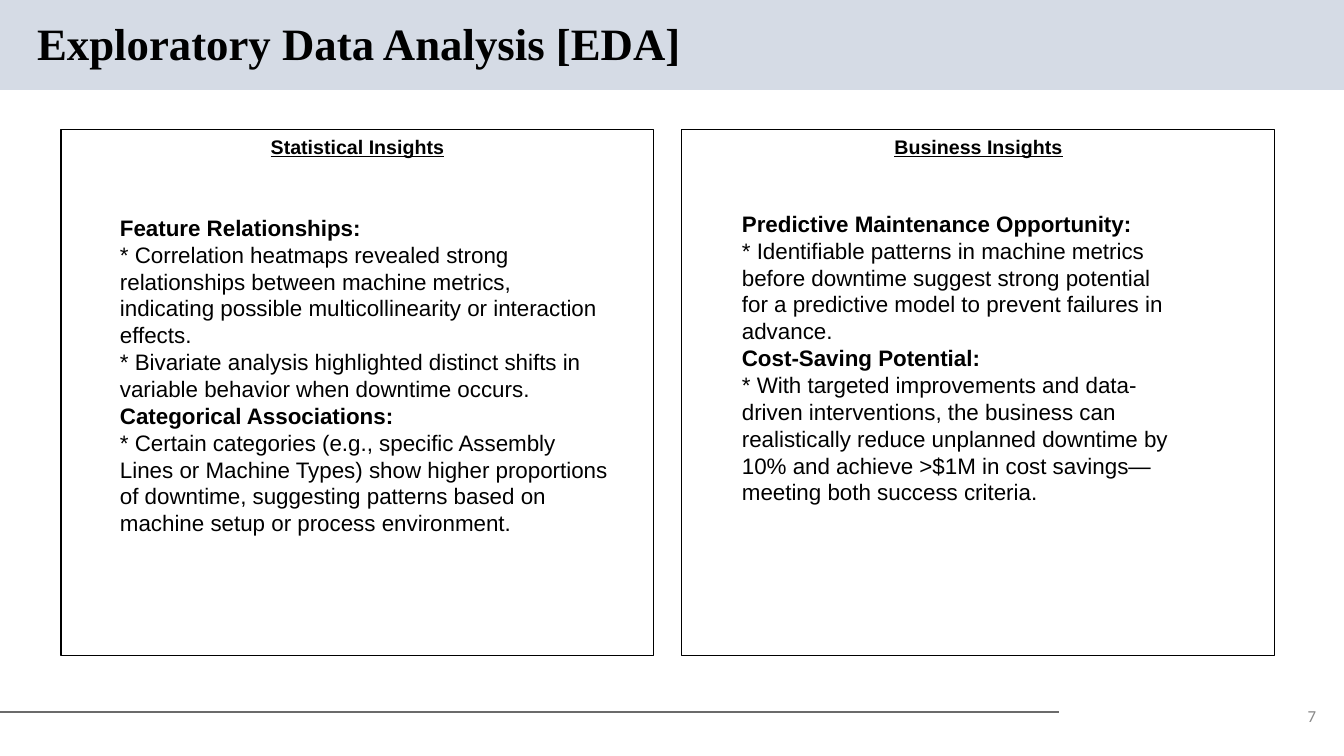
import pptx
import pptx.util
import pptx.dml.color
import pptx.enum.shapes
import pptx.enum.text
import lxml.etree

UNIT = 914400 / 100.8
HUES = {"ink": "000000", "band": "D5DBE5", "rule": "6B6B6B", "page": "888888"}
ALIGN = pptx.enum.text.PP_ALIGN
ANCHOR = pptx.enum.text.MSO_ANCHOR
RECT = pptx.enum.shapes.MSO_SHAPE.RECTANGLE
WIDE, HIGH = 1344, 756

STATS = [
    ("Feature Relationships:", True),
    ("* Correlation heatmaps revealed strong relationships between machine metrics, "
     "indicating possible multicollinearity or interaction effects.", False),
    ("* Bivariate analysis highlighted distinct shifts in variable behavior when "
     "downtime occurs.", False),
    ("Categorical Associations:", True),
    ("* Certain categories (e.g., specific Assembly Lines or Machine Types) show higher "
     "proportions of downtime, suggesting patterns based on machine setup or process "
     "environment.", False),
]
GAINS = [
    ("Predictive Maintenance Opportunity:", True),
    ("* Identifiable patterns in machine metrics before downtime suggest strong potential "
     "for a predictive model to prevent failures in advance.", False),
    ("Cost-Saving Potential:", True),
    ("* With targeted improvements and data-driven interventions, the business can "
     "realistically reduce unplanned downtime by 10% and achieve >$1M in cost "
     "savings—meeting both success criteria.", False),
]


def px(*nums):
    return [pptx.util.Emu(round(n * UNIT)) for n in nums]


def hue(name):
    return pptx.dml.color.RGBColor.from_string(HUES[name])


def write(frame, lines, size, face="Arial", tone="ink", align=ALIGN.LEFT, under=None):
    frame.word_wrap = True
    for i, (words, bold) in enumerate(lines):
        para = frame.paragraphs[0] if i == 0 else frame.add_paragraph()
        para.alignment = align
        run = para.add_run()
        run.text = words
        font = run.font
        font.name, font.size = face, pptx.util.Pt(size)
        font.bold, font.underline = bold, under
        font.color.rgb = hue(tone)


def label(page, box, lines, size, **look):
    frame = page.shapes.add_textbox(*px(*box)).text_frame
    write(frame, lines, size, **look)
    return frame


def block(page, box, fill=None):
    shape = page.shapes.add_shape(RECT, *px(*box))
    shape.shadow.inherit = False
    if fill:
        shape.fill.solid()
        shape.fill.fore_color.rgb = hue(fill)
        shape.line.fill.background()
    else:
        shape.fill.background()
        shape.line.color.rgb = hue("ink")
        shape.line.width = pptx.util.Pt(0.75)
    return shape


def header(page, box, words):
    x, y, w, h = box
    band = block(page, box, "band")
    page.shapes.element.insert(2, band.element)
    title = page.shapes.title
    title.left, title.top, title.width, title.height = px(x + 27, y + 16, 1019, 59)
    frame = title.text_frame
    frame.vertical_anchor = ANCHOR.MIDDLE
    write(frame, [(words, True)], 32, face="Times New Roman")
    frame.paragraphs[0].line_spacing = 0.9


def panel(page, box, head, lines, inset, drop, width):
    x, y, w, h = box
    block(page, box)
    label(page, (x, y, w, 34), [(head, True)], 14, align=ALIGN.CENTER, under=True)
    label(page, (x + inset, y + drop, width, h - drop), lines, 16)


def footer(page, box, number):
    x, y, w, h = box
    line = page.shapes.add_connector(
        pptx.enum.shapes.MSO_CONNECTOR.STRAIGHT, *px(x, y + 12, x + 1059, y + 12))
    line.line.color.rgb = hue("rule")
    line.line.width = pptx.util.Pt(0.75)
    tag = pptx.oxml.ns.qn("a:effectLst")
    lxml.etree.SubElement(line.element.spPr, tag)
    frame = label(page, (x + w - 61, y, 43, 32), [(number, False)], 12,
                  face="Calibri", tone="page", align=ALIGN.RIGHT)
    frame.vertical_anchor = ANCHOR.MIDDLE


def main():
    deck = pptx.Presentation()
    deck.slide_width, deck.slide_height = px(WIDE, HIGH)
    page = deck.slides.add_slide(deck.slide_layouts[5])
    header(page, (0, 0, WIDE, 90), "Exploratory Data Analysis [EDA]")
    panel(page, (61, 130, 593, 526), "Statistical Insights", STATS, 49, 79, 510)
    panel(page, (682, 130, 593, 526), "Business Insights", GAINS, 50, 75, 448)
    footer(page, (0, 700, WIDE, 32), "7")
    deck.save("out.pptx")


if __name__ == "__main__":
    main()
